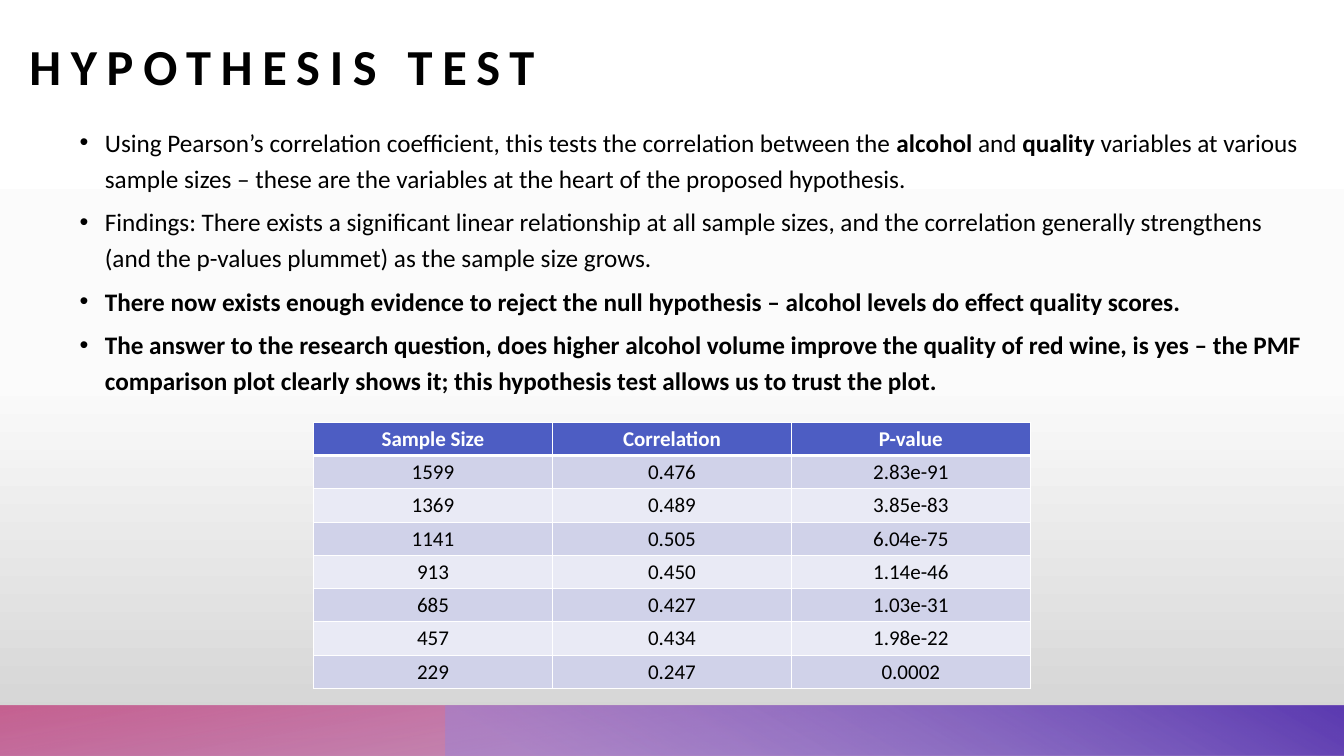
from lxml import etree
from pptx import Presentation
from pptx.dml.color import RGBColor
from pptx.enum.shapes import MSO_SHAPE
from pptx.enum.text import MSO_ANCHOR, PP_ALIGN
from pptx.oxml.ns import qn
from pptx.util import Inches, Pt

FONT = "Calibri"
BLACK, WHITE = "000000", "FFFFFF"
HEADER_FILL, BAND_FILLS = "4D5DC3", ("D0D2E9", "E9EAF5")

# Each bullet is a list of (text, bold) runs; "\n" starts a new line
BULLETS = [
    [("Using Pearson’s correlation coefficient, this tests the correlation between the ", False),
     ("alcohol", True), (" and ", False), ("quality", True),
     (" variables at various sample sizes – these are the variables at the heart "
      "of the proposed hypothesis.", False)],
    [("Findings: There exists a significant linear relationship at all sample sizes, "
      "and the correlation generally strengthens \n"
      "(and the p-values plummet) as the sample size grows.", False)],
    [("There now exists enough evidence to reject the null hypothesis – "
      "alcohol levels do effect quality scores.", True)],
    [("The answer to the research question, does higher alcohol volume improve the quality "
      "of red wine, is yes – the PMF comparison plot clearly shows it; this hypothesis test "
      "allows us to trust the plot.", True)],
]
RESULTS = [
    ("Sample Size", "Correlation", "P-value"),
    ("1599", "0.476", "2.83e-91"),
    ("1369", "0.489", "3.85e-83"),
    ("1141", "0.505", "6.04e-75"),
    ("913", "0.450", "1.14e-46"),
    ("685", "0.427", "1.03e-31"),
    ("457", "0.434", "1.98e-22"),
    ("229", "0.247", "0.0002"),
]


def rgb(color):
    return RGBColor.from_string(color)


def sub(parent, tag, **attrs):
    return etree.SubElement(parent, qn(tag), {k: str(v) for k, v in attrs.items()})


def set_font(p, size, color, bold=None):
    p.font.name, p.font.size, p.font.bold = FONT, Pt(size), bold
    p.font.color.rgb = rgb(color)


def set_gradient(fill, element, angle, stops):
    """Stops are (position %, colour, opacity %)."""
    fill.gradient()
    grad = next(element.iter(qn("a:gradFill")))
    for child in list(grad):
        grad.remove(child)
    stop_list = sub(grad, "a:gsLst")
    for pos, color, opacity in stops:
        stop = sub(stop_list, "a:gs", pos=pos * 1000)
        sub(sub(stop, "a:srgbClr", val=color), "a:alpha", val=opacity * 1000)
    sub(grad, "a:lin", ang=angle * 60000, scaled=0)


def add_bar(slide, x, y, w, h, angle, stops, rotation=0):
    s = slide.shapes.add_shape(MSO_SHAPE.RECTANGLE, Inches(x), Inches(y), Inches(w), Inches(h))
    s.shadow.inherit = False
    s.line.fill.background()
    s.rotation = rotation
    s._element.spPr.xfrm.set("flipH", "1")
    set_gradient(s.fill, s._element.spPr, angle, stops)


def add_backdrop(slide):
    set_gradient(slide.background.fill, slide._element, 90,
                 [(0, "FFFFFF", 100), (50, "FBFBFB", 100), (100, "D1D1D1", 100)])
    add_bar(slide, 0, 7, 13.33, 0.5, 100, [(14, "B13BA4", 28), (100, "C34D84", 85)], 180)
    add_bar(slide, 4.42, 7, 8.92, 0.5, 240, [(9, "9B84D6", 55), (99, "5C3BB1", 100)])


def add_text_frame(slide, x, y, w, h, anchor):
    tf = slide.shapes.add_textbox(Inches(x), Inches(y), Inches(w), Inches(h)).text_frame
    tf.word_wrap = True
    tf.vertical_anchor = anchor
    tf.margin_left = tf.margin_right = tf.margin_top = tf.margin_bottom = 0
    return tf


def add_title(slide, x, y, w, h):
    p = add_text_frame(slide, x, y, w, h, MSO_ANCHOR.BOTTOM).paragraphs[0]
    set_font(p, 36, BLACK, True)
    r = p.add_run()
    r.text = "HYPOTHESIS TEST"
    r._r.get_or_add_rPr().set("spc", "700")


def add_bullets(slide, x, y, w, h):
    tf = add_text_frame(slide, x, y, w, h, MSO_ANCHOR.TOP)
    for i, runs in enumerate(BULLETS):
        p = tf.add_paragraph() if i else tf.paragraphs[0]
        p.line_spacing, p.space_before = 1.2, Pt(5)
        pPr = p._p.get_or_add_pPr()
        pPr.set("marL", str(Inches(0.75)))
        pPr.set("indent", str(Inches(-0.25)))
        sub(pPr, "a:buFont", typeface="Arial")
        sub(pPr, "a:buChar", char="•")
        set_font(p, 18, BLACK)
        for text, bold in runs:
            for n, line in enumerate(text.split("\n")):
                if n:
                    p.add_line_break()
                r = p.add_run()
                r.text, r.font.bold = line, bold


def set_borders(cell, top, bottom):
    tcPr = cell._tc.get_or_add_tcPr()
    for side, width in (("L", 1), ("R", 1), ("T", top), ("B", bottom)):
        ln = sub(tcPr, f"a:ln{side}", w=Pt(width))
        sub(sub(ln, "a:solidFill"), "a:srgbClr", val=WHITE)


def add_results_table(slide, x, y, w, h):
    table = slide.shapes.add_table(len(RESULTS), len(RESULTS[0]), Inches(x), Inches(y),
                                   Inches(w), Inches(h)).table
    for i, row in enumerate(RESULTS):
        for j, text in enumerate(row):
            cell = table.cell(i, j)
            # The rule under the header is thicker than the others
            set_borders(cell, 3 if i == 1 else 1, 3 if i == 0 else 1)
            cell.fill.solid()
            cell.fill.fore_color.rgb = rgb(BAND_FILLS[(i - 1) % 2] if i else HEADER_FILL)
            cell.margin_left = cell.margin_right = Inches(0.08)
            cell.margin_top = cell.margin_bottom = Inches(0.04)
            cell.text = text
            p = cell.text_frame.paragraphs[0]
            p.alignment = PP_ALIGN.CENTER
            set_font(p, 15, BLACK if i else WHITE, i == 0)


def main():
    prs = Presentation()
    prs.slide_width, prs.slide_height = Inches(13.33), Inches(7.5)
    slide = prs.slides.add_slide(prs.slide_layouts[6])
    add_backdrop(slide)
    add_title(slide, 0.29, 0.14, 12.72, 0.81)
    add_bullets(slide, 0.29, 1.2, 12.72, 5.63)
    add_results_table(slide, 3.11, 4.19, 7.11, 2.64)
    prs.save("out.pptx")


if __name__ == "__main__":
    main()
